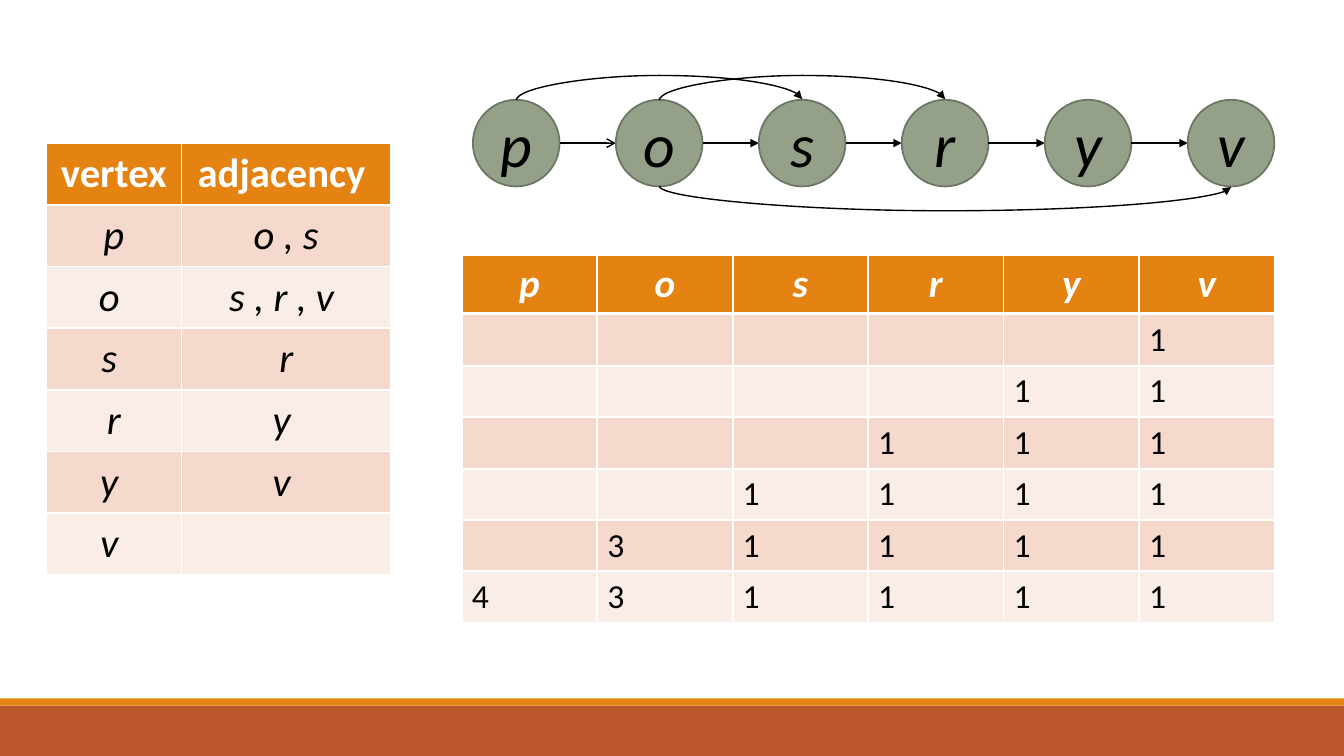
from dataclasses import dataclass

from lxml import etree
from pptx import Presentation
from pptx.dml.color import RGBColor
from pptx.enum.shapes import MSO_CONNECTOR, MSO_SHAPE
from pptx.enum.text import MSO_ANCHOR, PP_ALIGN
from pptx.oxml.ns import qn
from pptx.util import Inches, Pt

CIRCLE, RECTANGLE = MSO_SHAPE.FLOWCHART_CONNECTOR, MSO_SHAPE.RECTANGLE
STRAIGHT, CURVE = MSO_CONNECTOR.STRAIGHT, MSO_CONNECTOR.CURVE
CENTER, LEFT = PP_ALIGN.CENTER, PP_ALIGN.LEFT
MIDDLE, TOP = MSO_ANCHOR.MIDDLE, MSO_ANCHOR.TOP

WHITE = RGBColor(0xFF, 0xFF, 0xFF)
BLACK = RGBColor(0, 0, 0)
ORANGE = RGBColor(0xE4, 0x83, 0x12)
RUST = RGBColor(0xBD, 0x58, 0x2C)
SAGE = RGBColor(0x94, 0xA0, 0x88)
SAGE_EDGE = RGBColor(0x6D, 0x76, 0x65)
BANDS = (RGBColor(0xF5, 0xD9, 0xCC), RGBColor(0xFA, 0xED, 0xE7))

SLIDE_WIDTH, SLIDE_HEIGHT = 13.33, 7.5
VERTICES = "posryv"

# Graph grid: one column per vertex, between the left and right edges
GRAPH_LEFT, GRAPH_RIGHT, GRAPH_TOP, DIAMETER = 4.69, 12.64, 0.99, 0.86
GRAPH_PITCH = (GRAPH_RIGHT - DIAMETER - GRAPH_LEFT) / (len(VERTICES) - 1)
ARC_DEPTH, ARC_SLANT = 0.25, 0.01

# Count grid: a heading strip, then strips at an equal pitch
COUNT_LEFT, COUNT_WIDTH = 4.58, 8.06
HEADING_TOP, HEADING_HEIGHT = 2.53, 0.57
STRIP_TOP, STRIP_HEIGHT, STRIP_PITCH = 3.12, 0.5, 0.51
COUNTS = (4, 3, 1, 1, 1, 1)

ADJACENCY_ROWS = [
    ["vertex", "adjacency "],
    ["p", "o , s"],
    ["o ", "s , r , v "],
    ["s ", "r"],
    ["r", "y "],
    ["y ", "v "],
    ["v ", ""],
]


@dataclass(frozen=True)
class CellStyle:
    fill: RGBColor
    font: dict
    align: PP_ALIGN = CENTER
    anchor: MSO_ANCHOR = MIDDLE
    margins: tuple[float, float] = (0.1, 0.05)


@dataclass(frozen=True)
class Arc:
    start: int
    end: int
    above: bool


ARCS = (Arc(0, 2, True), Arc(1, 3, True), Arc(1, 5, False))


def write(para, text: str, align: PP_ALIGN, color: RGBColor, font: dict) -> None:
    para.alignment = align
    span = para.add_run()
    span.text = text
    span.font.color.rgb = color
    for name, value in {"name": "Calibri", **font}.items():
        setattr(span.font, name, value)


def add_box(page, kind, left: float, top: float, width: float, height: float, fill: RGBColor):
    box = page.shapes.add_shape(kind, *map(Inches, (left, top, width, height)))
    box.shadow.inherit = False
    box.fill.solid()
    box.fill.fore_color.rgb = fill
    box.line.fill.background()
    return box


def border_cell(cell) -> None:
    properties = cell._tc.get_or_add_tcPr()
    for side in ("a:lnL", "a:lnR", "a:lnT", "a:lnB"):
        line = etree.SubElement(properties, qn(side), w=str(Pt(1.5)))
        fill = etree.SubElement(line, qn("a:solidFill"))
        etree.SubElement(fill, qn("a:srgbClr"), val=str(WHITE))


def add_grid(page, left: float, top: float, widths: list[float], height: float,
             rows: list[list[str]], styles: list[CellStyle]) -> None:
    """Add a table with one cell style and one equal height per row."""
    frame = page.shapes.add_table(
        len(rows), len(widths), Inches(left), Inches(top),
        Inches(sum(widths)), Inches(height * len(rows)))
    table = frame.table
    for column, width in zip(table.columns, widths):
        column.width = Inches(width)
    for row, texts, style in zip(table.rows, rows, styles):
        row.height = Inches(height)
        for cell, text in zip(row.cells, texts):
            border_cell(cell)
            cell.fill.solid()
            cell.fill.fore_color.rgb = style.fill
            cell.vertical_anchor = style.anchor
            cell.margin_left = cell.margin_right = Inches(style.margins[0])
            cell.margin_top = cell.margin_bottom = Inches(style.margins[1])
            if text:
                color = WHITE if style.fill == ORANGE else BLACK
                write(cell.text_frame.paragraphs[0], text, style.align, color, style.font)


def add_arrow(page, kind, start: tuple[float, float], end: tuple[float, float],
              head: str = "triangle"):
    arrow = page.shapes.add_connector(kind, *map(Inches, (*start, *end)))
    arrow.line.color.rgb = BLACK
    arrow.line.width = Pt(1)
    etree.SubElement(arrow.line._get_or_add_ln(), qn("a:tailEnd"), type=head)
    etree.SubElement(arrow.element.spPr, qn("a:effectLst"))
    return arrow


def add_arc(page, arc: Arc) -> None:
    """Add a curved arrow, an upright curve turned to lie over or under the circles."""
    span = (arc.end - arc.start) * GRAPH_PITCH
    center = GRAPH_LEFT + DIAMETER / 2 + arc.start * GRAPH_PITCH + span / 2
    level = GRAPH_TOP if arc.above else GRAPH_TOP + DIAMETER
    arrow = add_arrow(page, CURVE, (center - ARC_SLANT / 2, level - span / 2),
                      (center + ARC_SLANT / 2, level + span / 2))
    turn = {"rot": "5400000", "flipH": "1", "flipV": "1"} if arc.above else {
        "rot": "16200000", "flipH": "1"}
    for name, value in turn.items():
        arrow.element.spPr.find(qn("a:xfrm")).set(name, value)
    bend = round(ARC_DEPTH / ARC_SLANT * 100000)
    guides = arrow.element.spPr.find(qn("a:prstGeom")).find(qn("a:avLst"))
    etree.SubElement(guides, qn("a:gd"), name="adj1", fmla=f"val {bend}")


def add_graph(page) -> None:
    middle = GRAPH_TOP + DIAMETER / 2
    for index, vertex in enumerate(VERTICES):
        left = GRAPH_LEFT + index * GRAPH_PITCH
        circle = add_box(page, CIRCLE, left, GRAPH_TOP, DIAMETER, DIAMETER, SAGE)
        circle.line.color.rgb = SAGE_EDGE
        circle.line.width = Pt(1.25)
        circle.text_frame.vertical_anchor = MIDDLE
        write(circle.text_frame.paragraphs[0], vertex, CENTER, BLACK,
              {"size": Pt(44), "italic": True})
        if index < len(VERTICES) - 1:
            add_arrow(page, STRAIGHT, (left + DIAMETER, middle), (left + GRAPH_PITCH, middle),
                      "triangle" if index else "arrow")
    for arc in ARCS:
        add_arc(page, arc)


def add_adjacency(page) -> None:
    margins = (0.12, 0.06)
    heading = CellStyle(ORANGE, {"size": Pt(29), "bold": True}, margins=margins)
    bands = [CellStyle(BANDS[index % 2], {"size": Pt(29), "italic": True}, margins=margins)
             for index in range(len(VERTICES))]
    add_grid(page, 0.46, 1.42, [1.34, 2.08], 0.61, ADJACENCY_ROWS, [heading, *bands])


def add_counts(page) -> None:
    """Add the heading strip and the strips that fill up from the last vertex."""
    size = len(VERTICES)
    widths = [COUNT_WIDTH / size] * size
    heading = CellStyle(ORANGE, {"size": Pt(28), "bold": True, "italic": True}, anchor=TOP)
    add_grid(page, COUNT_LEFT, HEADING_TOP, widths, HEADING_HEIGHT, [list(VERTICES)], [heading])
    for step in range(size):
        first = size - 1 - step
        texts = [str(count) if index >= first else "" for index, count in enumerate(COUNTS)]
        style = CellStyle(BANDS[step % 2], {"size": Pt(24)}, LEFT, TOP)
        add_grid(page, COUNT_LEFT, STRIP_TOP + step * STRIP_PITCH, widths, STRIP_HEIGHT,
                 [texts], [style])


def main() -> None:
    deck = Presentation()
    deck.slide_width, deck.slide_height = Inches(SLIDE_WIDTH), Inches(SLIDE_HEIGHT)
    page = deck.slides.add_slide(deck.slide_layouts[6])
    add_box(page, RECTANGLE, 0, 7, SLIDE_WIDTH, 0.5, RUST)
    add_box(page, RECTANGLE, 0, 6.93, SLIDE_WIDTH, 0.07, ORANGE)
    add_graph(page)
    add_adjacency(page)
    add_counts(page)
    deck.save("out.pptx")


if __name__ == "__main__":
    main()
